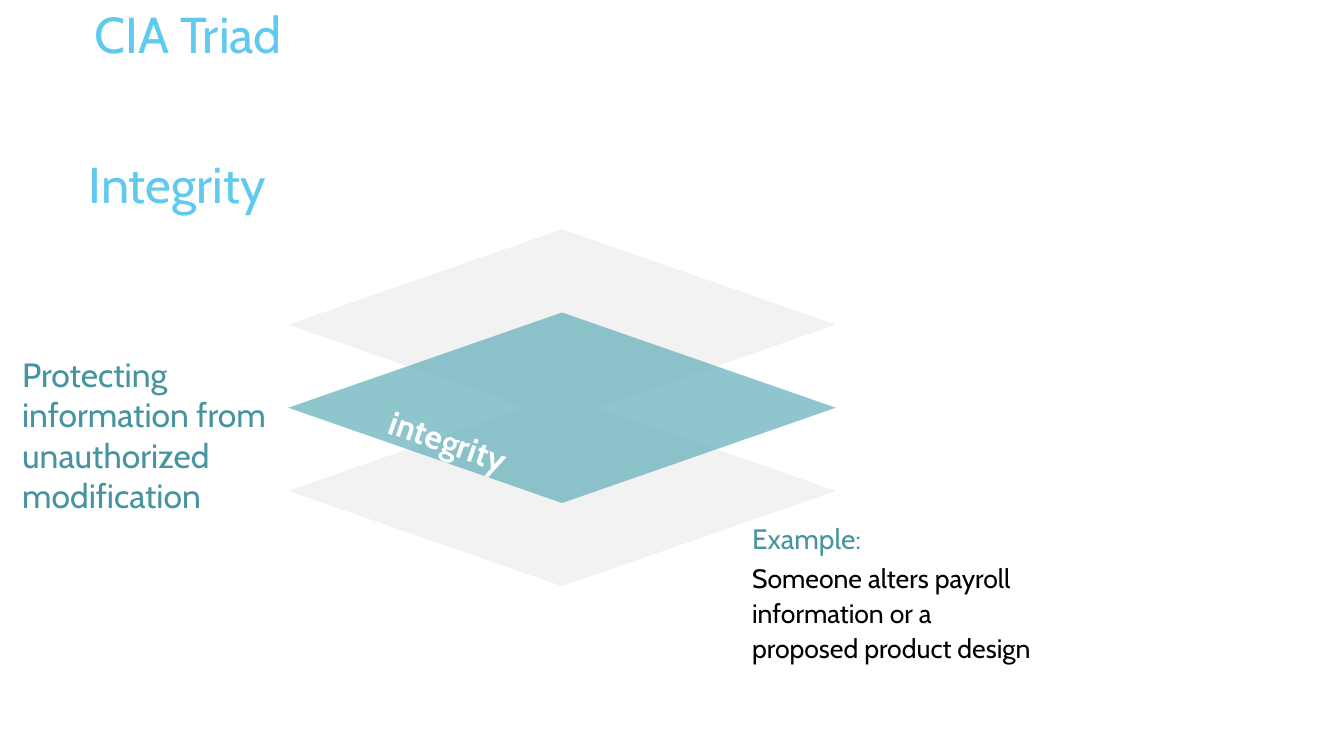
from dataclasses import dataclass

from lxml import etree
from pptx import Presentation
from pptx.dml.color import RGBColor
from pptx.enum.shapes import MSO_SHAPE
from pptx.enum.text import MSO_ANCHOR, PP_ALIGN
from pptx.oxml.ns import qn
from pptx.shapes.autoshape import Shape
from pptx.slide import Slide
from pptx.util import Inches, Pt

DIAMOND = MSO_SHAPE.DIAMOND
TOP, MIDDLE = MSO_ANCHOR.TOP, MSO_ANCHOR.MIDDLE
LEFT, CENTER = PP_ALIGN.LEFT, PP_ALIGN.CENTER


@dataclass(frozen=True)
class Theme:
    font: str = "Cabin"
    heading: RGBColor = RGBColor(0x5F, 0xCA, 0xEE)
    accent: RGBColor = RGBColor(0x46, 0x94, 0x9F)
    layer: RGBColor = RGBColor(0x60, 0xAD, 0xB8)
    black: RGBColor = RGBColor(0, 0, 0)
    white: RGBColor = RGBColor(0xFF, 0xFF, 0xFF)
    heading_size: float = 36
    definition_size: float = 24
    label_size: float = 24
    example_title_size: float = 20
    example_size: float = 19


THEME = Theme()


@dataclass(frozen=True)
class Line:
    text: str
    size: float
    color: RGBColor
    bold: bool = False
    spacing: float = 1.0
    before: float = 0


@dataclass(frozen=True)
class Label:
    left: float
    top: float
    width: float
    height: float
    lines: tuple[Line, ...]
    inset: float = 0.01
    align: PP_ALIGN = LEFT
    anchor: MSO_ANCHOR = TOP
    rotation: float = 0


LABELS = (
    Label(0.87, 0.02, 1.99, 1.21,
          (Line("CIA Triad", THEME.heading_size, THEME.heading),), align=CENTER),
    Label(0.88, 1.51, 2.91, 0.61,
          (Line("Integrity", THEME.heading_size, THEME.heading),)),
    Label(0.22, 3.5, 2.57, 2.78,
          (Line("Protecting information from unauthorized modification",
                THEME.definition_size, THEME.accent),)),
    Label(7.46, 5.09, 2.86, 1.85,
          (Line("Example:", THEME.example_title_size, THEME.accent),
           Line("Someone alters payroll information or a proposed product design",
                THEME.example_size, THEME.black, spacing=1.1, before=2.9)),
          inset=0.08),
    Label(3.65, 4.12, 1.6, 0.5,
          (Line("integrity", THEME.label_size, THEME.white, bold=True),),
          inset=0, align=CENTER, anchor=MIDDLE, rotation=19.4),
)

CENTER_X, CENTER_Y = 5.575, 4.045
HALF_WIDTH, HALF_HEIGHT = 2.715, 0.945
LAYER_STEP = 0.825
NOTCH_HALF_WIDTH = 0.355


def paint(shape: Shape, color: RGBColor, opacity: int) -> None:
    shape.shadow.inherit = False
    shape.line.fill.background()
    shape.fill.solid()
    shape.fill.fore_color.rgb = color
    color_element = shape.fill._xPr.find(qn("a:solidFill"))[0]
    etree.SubElement(color_element, qn("a:alpha"), val=str(opacity * 1000))


def add_outer_layers(slide: Slide) -> None:
    upper, lower = CENTER_Y - LAYER_STEP, CENTER_Y + LAYER_STEP
    right, left = CENTER_X + HALF_WIDTH, CENTER_X - HALF_WIDTH
    outline = [
        (right, upper),
        (CENTER_X, upper - HALF_HEIGHT),
        (left, upper),
        (CENTER_X - NOTCH_HALF_WIDTH, CENTER_Y),
        (left, lower),
        (CENTER_X, lower + HALF_HEIGHT),
        (right, lower),
        (CENTER_X + NOTCH_HALF_WIDTH, CENTER_Y),
    ]
    points = [(Inches(x), Inches(y)) for x, y in outline]
    builder = slide.shapes.build_freeform(*points[0])
    builder.add_line_segments(points[1:], close=True)
    paint(builder.convert_to_shape(), THEME.black, 5)


def add_integrity_layer(slide: Slide) -> None:
    diamond = slide.shapes.add_shape(
        DIAMOND, Inches(CENTER_X - HALF_WIDTH), Inches(CENTER_Y - HALF_HEIGHT),
        Inches(2 * HALF_WIDTH), Inches(2 * HALF_HEIGHT))
    paint(diamond, THEME.layer, 70)


def add_label(slide: Slide, label: Label) -> None:
    box = slide.shapes.add_textbox(
        Inches(label.left), Inches(label.top), Inches(label.width), Inches(label.height))
    box.rotation = label.rotation
    frame = box.text_frame
    frame.word_wrap = True
    frame.vertical_anchor = label.anchor
    frame.margin_left = frame.margin_right = frame.margin_bottom = 0
    frame.margin_top = Inches(label.inset)
    for index, line in enumerate(label.lines):
        paragraph = frame.add_paragraph() if index else frame.paragraphs[0]
        paragraph.text = line.text
        paragraph.alignment = label.align
        paragraph.line_spacing = line.spacing
        paragraph.space_before = Pt(line.before)
        paragraph.font.name = THEME.font
        paragraph.font.size = Pt(line.size)
        paragraph.font.bold = line.bold
        paragraph.font.color.rgb = line.color


def main() -> None:
    presentation = Presentation()
    presentation.slide_width = Inches(13.33)
    presentation.slide_height = Inches(7.5)
    slide = presentation.slides.add_slide(presentation.slide_layouts[6])
    add_outer_layers(slide)
    add_integrity_layer(slide)
    for label in LABELS:
        add_label(slide, label)
    presentation.save("out.pptx")


if __name__ == "__main__":
    main()
